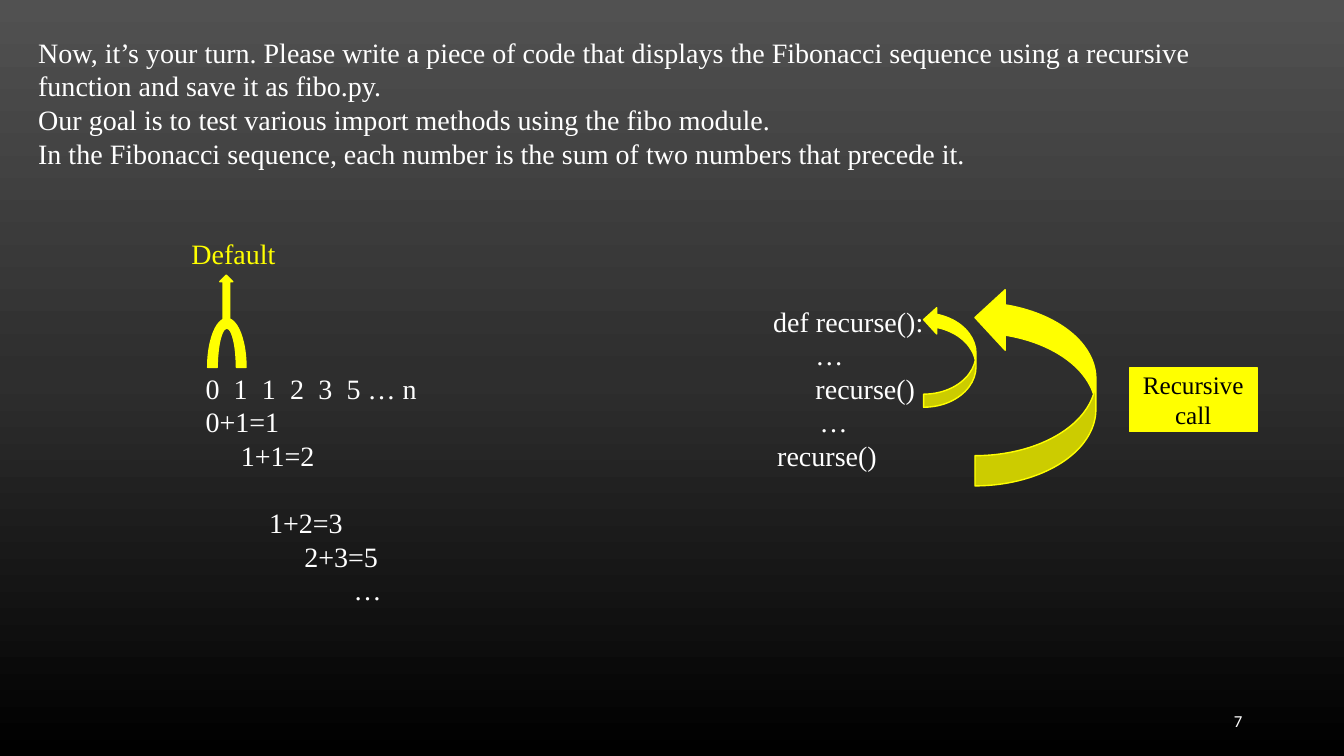
"""Build the recursive Fibonacci exercise slide."""
from lxml.etree import SubElement
from pptx import Presentation
from pptx.dml.color import RGBColor
from pptx.enum.shapes import MSO_SHAPE
from pptx.enum.text import MSO_ANCHOR, PP_ALIGN
from pptx.oxml.ns import qn
from pptx.util import Inches, Pt

WHITE = RGBColor(255, 255, 255)
BLACK = RGBColor(0, 0, 0)
YELLOW = RGBColor(255, 255, 0)
SERIF = "Times New Roman"
TOP = 0.3
ROW = 1 / 3
STEP = 0.28

deck = Presentation()
deck.slide_width, deck.slide_height = Inches(13.33), Inches(7.5)
slide = deck.slides.add_slide(deck.slide_layouts[6])

back = slide.background.fill
back.gradient()
grad = slide.background._cSld.find(".//" + qn("a:gradFill"))
stops = grad.find(qn("a:gsLst"))
for stop in list(stops):
    stops.remove(stop)
for pos, tone in ((0, "515151"), (50, "2E2E2E"), (100, "000000")):
    stop = SubElement(stops, qn("a:gs"), pos=str(pos * 1000))
    SubElement(stop, qn("a:srgbClr"), val=tone)
grad.find(qn("a:lin")).set("ang", str(90 * 60000))


def add_run(para, text, size, color, font=SERIF):
    run = para.add_run()
    run.text = text
    run.font.size, run.font.name = Pt(size), font
    run.font.color.rgb = color


def add_lines(left, row, width, lines, color=WHITE):
    count = lines[-1][0] + 1
    box = slide.shapes.add_textbox(Inches(left), Inches(TOP + row * ROW),
                                   Inches(width), Inches(count * ROW + 0.1))
    frame = box.text_frame
    frame.word_wrap = True
    last = 0
    for i, (line, indent, text) in enumerate(lines):
        para = frame.add_paragraph() if i else frame.paragraphs[0]
        para.line_spacing = Pt(24)
        para.space_before = Pt(24 * max(line - last - 1, 0))
        last = line
        props = para._p.get_or_add_pPr()
        props.set("marL", str(Inches(indent)))
        if "\t" in text:
            tabs = SubElement(props, qn("a:tabLst"))
            for n in range(1, 6):
                SubElement(tabs, qn("a:tab"), pos=str(Inches(n * STEP)), algn="l")
        add_run(para, text, 20, color)


add_lines(0.28, 0, 12.25, [
    (0, 0, "Now, it’s your turn. Please write a piece of code that displays the "
           "Fibonacci sequence using a recursive function and save it as fibo.py."),
    (1, 0, "Our goal is to test various import methods using the fibo module."),
    (3, 0, "In the Fibonacci sequence, each number is the sum of two numbers "
           "that precede it.")][:2] + [
    (2, 0, "In the Fibonacci sequence, each number is the sum of two numbers "
           "that precede it.")])
add_lines(1.8, 6, 1.5, [(0, 0, "Default")], YELLOW)
add_lines(1.94, 10, 3.5, [
    (0, 0, "0\t1\t1\t2\t3\t5 … n"),
    (1, 0, "0+1=1"),
    (2, 0.35, "1+1=2"),
    (4, 0.63, "1+2=3"),
    (5, 0.98, "2+3=5"),
    (6, 1.47, "…")])
add_lines(7.57, 8, 2, [
    (0, 0, "def recurse():"),
    (1, 0.42, "…"),
    (2, 0.42, "recurse()"),
    (3, 0.46, "…"),
    (4, 0.04, "recurse()")])

CURVE = MSO_SHAPE.CURVED_LEFT_ARROW
for kind, left, top, width, height in (
        (MSO_SHAPE.BLOCK_ARC, 2.06, 3.16, 0.38, 0.97),
        (MSO_SHAPE.UP_ARROW, 2.18, 2.73, 0.13, 0.46),
        (CURVE, 9.16, 3.04, 0.52, 1),
        (CURVE, 9.67, 2.85, 1.2, 1.97),
        (MSO_SHAPE.RECTANGLE, 11.2, 3.65, 1.27, 0.63)):
    shape = slide.shapes.add_shape(kind, Inches(left), Inches(top),
                                   Inches(width), Inches(height))
    shape.shadow.inherit = False
    shape.fill.solid()
    shape.fill.fore_color.rgb = YELLOW
    shape.line.color.rgb = YELLOW
    shape.line.width = Pt(1)
    if kind == CURVE:
        shape.rotation = 180
        shape._element.spPr.find(qn("a:xfrm")).set("flipH", "1")
    if kind == MSO_SHAPE.RECTANGLE:
        frame = shape.text_frame
        frame.word_wrap = True
        frame.vertical_anchor = MSO_ANCHOR.MIDDLE
        frame.paragraphs[0].alignment = PP_ALIGN.CENTER
        add_run(frame.paragraphs[0], "Recursive call", 18, BLACK)

page = slide.shapes.add_textbox(Inches(9.42), Inches(6.95), Inches(3), Inches(0.4))
page.text_frame.word_wrap = True
page.text_frame.vertical_anchor = MSO_ANCHOR.MIDDLE
page.text_frame.paragraphs[0].alignment = PP_ALIGN.RIGHT
add_run(page.text_frame.paragraphs[0], "7", 12, WHITE, "Calibri")

deck.save("out.pptx")
